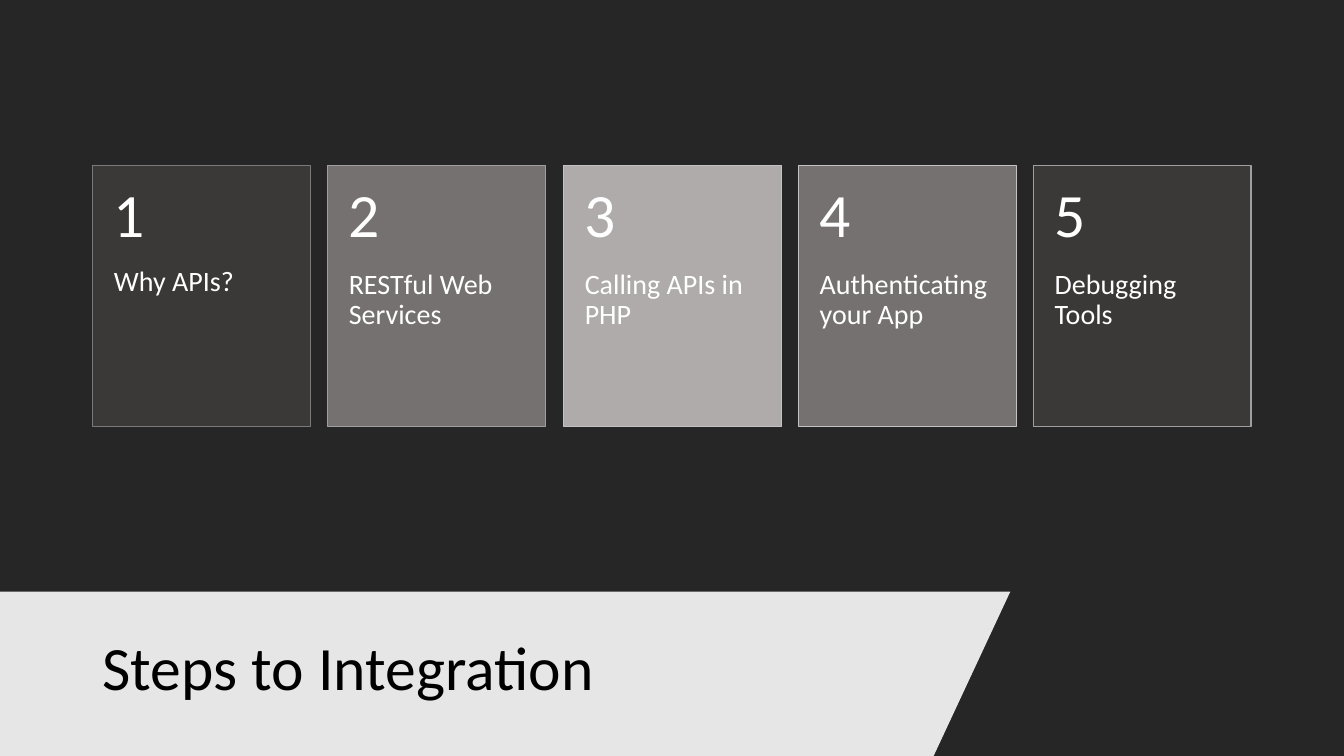
from dataclasses import dataclass

from pptx import Presentation
from pptx import util as u
from pptx.dml.color import RGBColor
from pptx.enum import shapes, text


@dataclass(frozen=True)
class Theme:
    font: str = "Calibri"
    background: str = "262626"
    banner: str = "E7E6E6"
    title: str = "000000"
    card_text: str = "FFFFFF"
    dark: str = "3B3838"
    mid: str = "767171"
    light: str = "AFABAB"
    edge_dark: str = "7A7A7A"
    edge_mid: str = "9F9F9F"
    edge_light: str = "C3C3C3"
    large: int = 44
    body: int = 20


theme = Theme()
prs = Presentation()
prs.slide_width, prs.slide_height = u.Inches(13.33), u.Inches(7.5)
s = prs.slides.add_slide(prs.slide_layouts[6])
s.background.fill.solid()
s.background.fill.fore_color.rgb = RGBColor.from_string(theme.background)


def add_text(content, *, box, size, color, insets=(0.1, 0.05, 0.1, 0.05),
             anchor=text.MSO_ANCHOR.MIDDLE):
    sp = s.shapes.add_textbox(*map(u.Inches, box))
    tf = sp.text_frame
    tf.word_wrap = True
    tf.vertical_anchor = anchor
    tf.margin_left, tf.margin_top, tf.margin_right, tf.margin_bottom = map(u.Inches, insets)
    p = tf.paragraphs[0]
    p.line_spacing = 0.9
    r = p.add_run()
    r.text = content
    r.font.name = theme.font
    r.font.size = u.Pt(size)
    r.font.color.rgb = RGBColor.from_string(color)


# Title banner with a slanted right end
banner = s.shapes.build_freeform(0, u.Inches(5.87))
banner.add_line_segments([
    (u.Inches(x), u.Inches(y)) for x, y in [(10.02, 5.87), (9.26, 7.5), (0, 7.5)]
])
sp = banner.convert_to_shape()
sp.shadow.inherit = False
sp.fill.solid()
sp.fill.fore_color.rgb = RGBColor.from_string(theme.banner)
sp.line.fill.background()
add_text("Steps to Integration", box=(0.92, 6.05, 8.44, 1.2),
         size=theme.large, color=theme.title)

# Numbered step cards
steps = [
    ("Why APIs?", theme.dark, theme.edge_dark),
    ("RESTful Web Services", theme.mid, theme.edge_mid),
    ("Calling APIs in PHP", theme.light, theme.edge_light),
    ("Authenticating your App", theme.mid, theme.edge_light),
    ("Debugging Tools", theme.dark, theme.edge_mid),
]
left, top, width, pitch = 0.92, 1.64, 2.16, 2.333
number_height, label_height = 1.04, 1.55

for i, (label, fill, edge) in enumerate(steps):
    x = round(left + i * pitch, 2)
    sp = s.shapes.add_shape(
        shapes.MSO_SHAPE.RECTANGLE, u.Inches(x), u.Inches(top),
        u.Inches(width), u.Inches(number_height + label_height))
    sp.shadow.inherit = False
    sp.fill.solid()
    sp.fill.fore_color.rgb = RGBColor.from_string(fill)
    sp.line.color.rgb = RGBColor.from_string(edge)
    sp.line.width = u.Pt(1)
    add_text(label, box=(x, top + number_height, width, label_height),
             size=theme.body, color=theme.card_text,
             insets=(0.21, 0, 0.21, 0.36), anchor=text.MSO_ANCHOR.TOP)
    add_text(str(i + 1), box=(x, top, width, number_height),
             size=theme.large, color=theme.card_text,
             insets=(0.21, 0.18, 0.21, 0.18))

prs.save("out.pptx")
